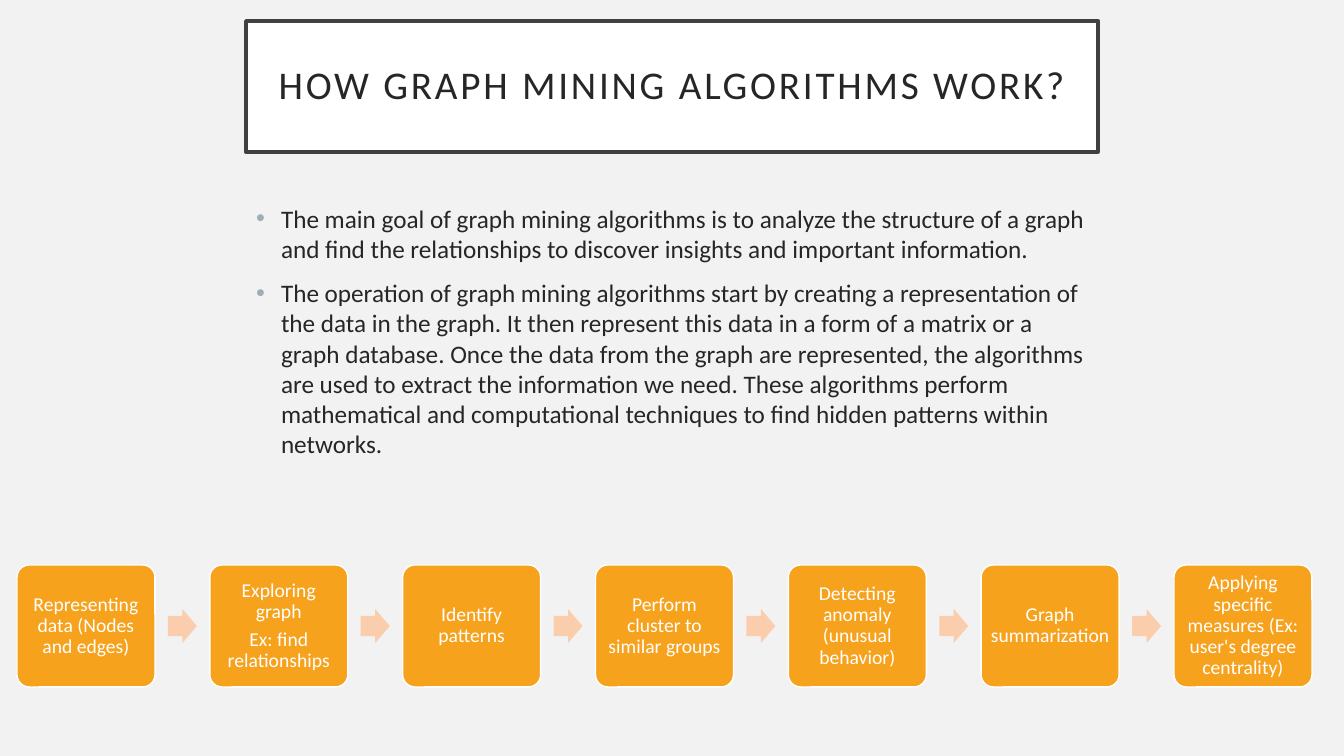
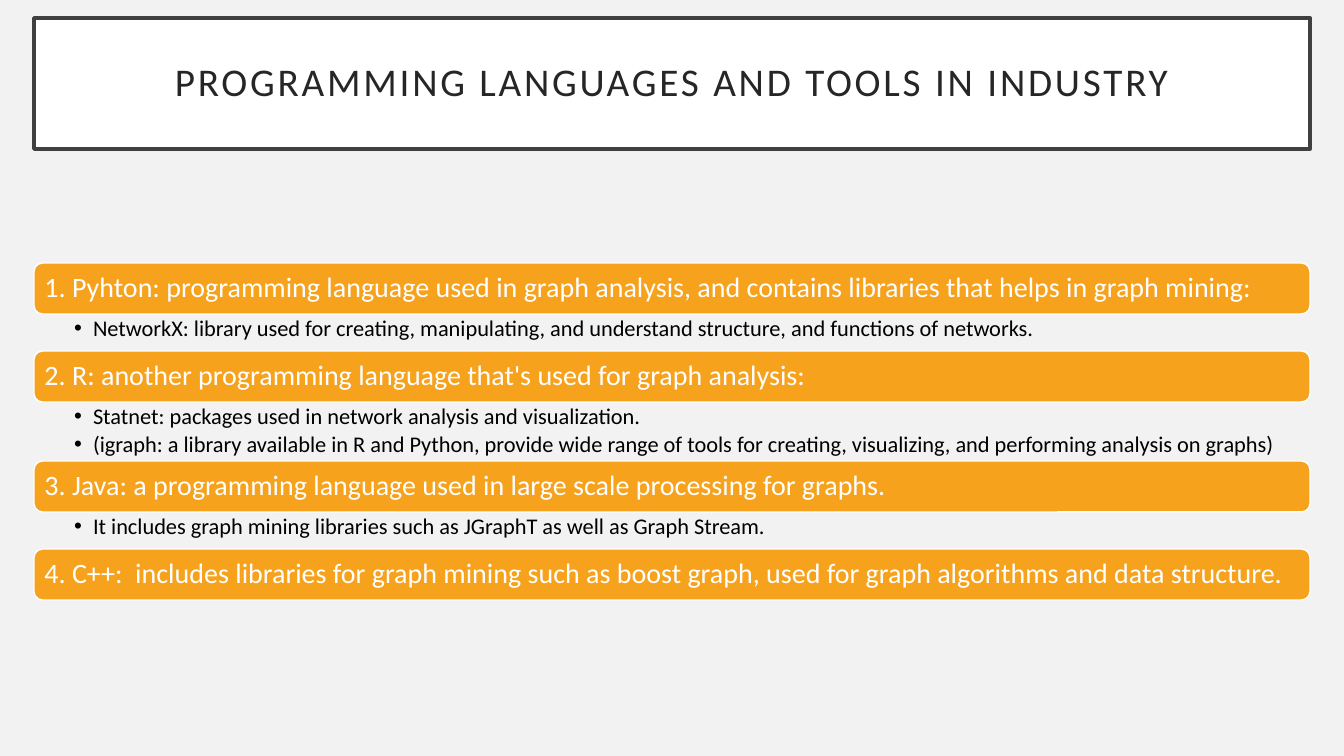
import lxml.etree
import pptx
import pptx.dml.color
import pptx.enum.shapes
import pptx.enum.text
import pptx.oxml.ns
import pptx.util

PX = 914400 / 100.8
W, H = 1344, 756
FONT = "Calibri"
COLORS = {
    "background": "F2F2F2",
    "white": "FFFFFF",
    "frame": "404040",
    "ink": "262626",
    "black": "000000",
    "bullet": "9BAFB5",
    "accent": "F6A21D",
    "arrow": "FACEAC",
}
SHAPE = pptx.enum.shapes.MSO_SHAPE
ALIGN = pptx.enum.text.PP_ALIGN
ANCHOR = pptx.enum.text.MSO_ANCHOR

GOALS = [
    "The main goal of graph mining algorithms is to analyze the structure of a graph "
    "and find the relationships to discover insights and important information.",
    "The operation of graph mining algorithms start by creating a representation of "
    "the data in the graph. It then represent this data in a form of a matrix or a "
    "graph database. Once the data from the graph are represented, the algorithms are "
    "used to extract the information we need. These algorithms perform mathematical "
    "and computational techniques to find hidden patterns within networks.",
]
STEPS = [
    ["Representing data (Nodes and edges)"],
    ["Exploring graph", "Ex: find relationships"],
    ["Identify patterns"],
    ["Perform cluster to similar groups"],
    ["Detecting anomaly (unusual behavior)"],
    ["Graph summarization"],
    ["Applying specific measures (Ex: user's degree centrality)"],
]
LANGUAGES = [
    ("1. Pyhton: programming language used in graph analysis, and contains libraries "
     "that helps in graph mining:",
     ["NetworkX: library used for creating, manipulating, and understand structure, "
      "and functions of networks."]),
    ("2. R: another programming language that's used for graph analysis:",
     ["Statnet: packages used in network analysis and visualization.",
      "(igraph: a library available in R and Python, provide wide range of tools for "
      "creating, visualizing, and performing analysis on graphs)"]),
    ("3. Java: a programming language used in large scale processing for graphs.",
     ["It includes graph mining libraries such as JGraphT as well as Graph Stream."]),
    ("4. C++:  includes libraries for graph mining such as boost graph, used for graph "
     "algorithms and data structure.", []),
]


def px(n):
    return pptx.util.Emu(round(n * PX))


def rgb(name):
    return pptx.dml.color.RGBColor.from_string(COLORS[name])


def add_bullet(p, indent, color):
    pPr = p._p.get_or_add_pPr()
    pPr.set("marL", str(px(indent)))
    pPr.set("indent", str(-px(indent)))
    qn = pptx.oxml.ns.qn
    buClr = lxml.etree.SubElement(pPr, qn("a:buClr"))
    lxml.etree.SubElement(buClr, qn("a:srgbClr")).set("val", COLORS[color])
    lxml.etree.SubElement(pPr, qn("a:buFont")).set("typeface", "Arial")
    lxml.etree.SubElement(pPr, qn("a:buChar")).set("char", "•")


def write_text(sp, paragraphs, size, color, align=ALIGN.LEFT, anchor=ANCHOR.TOP,
               insets=(10, 5, 10, 5), line=None, gap=0, indent=0, bullet=None,
               tracking=0):
    """Fill a shape; insets and indent are in px, size, gap and tracking in points."""
    tf = sp.text_frame
    tf.word_wrap = True
    tf.vertical_anchor = anchor
    tf.margin_left, tf.margin_top, tf.margin_right, tf.margin_bottom = map(px, insets)
    for i, text in enumerate(paragraphs):
        p = tf.add_paragraph() if i else tf.paragraphs[0]
        if bullet:
            add_bullet(p, indent, bullet)
        p.alignment = align
        if line:
            p.line_spacing = line
        if i:
            p.space_before = pptx.util.Pt(gap)
        r = p.add_run()
        r.text = text
        r.font.name = FONT
        r.font.size = pptx.util.Pt(size)
        r.font.color.rgb = rgb(color)
        if tracking:
            r._r.get_or_add_rPr().set("spc", str(tracking * 100))


def add_text(s, box, paragraphs, **fmt):
    write_text(s.shapes.add_textbox(*map(px, box)), paragraphs, **fmt)


def add_box(s, kind, box, fill, line=None, width=1, adjust=()):
    sp = s.shapes.add_shape(kind, *map(px, box))
    sp.shadow.inherit = False
    sp.fill.solid()
    sp.fill.fore_color.rgb = rgb(fill)
    if line:
        sp.line.color.rgb = rgb(line)
        sp.line.width = pptx.util.Pt(width)
    else:
        sp.line.fill.background()
    for i, value in enumerate(adjust):
        sp.adjustments[i] = value
    return sp


def add_title(s, box, text):
    sp = add_box(s, SHAPE.RECTANGLE, box, "white", "frame", 2.5)
    write_text(sp, [text], size=28, color="ink", align=ALIGN.CENTER,
               anchor=ANCHOR.MIDDLE, insets=(20, 20, 20, 20), line=0.9, tracking=2)


def add_process(s, box, steps):
    """Rounded steps across the box, with an arrow centred in each gap."""
    left, top, width, height = box
    step_w, arrow_w, arrow_h = 138, 29, 34
    gap = (width - step_w * len(steps)) / (len(steps) - 1)
    for i, step in enumerate(steps):
        x = left + i * (step_w + gap)
        if i:
            arrow = (x - (gap + arrow_w) / 2, top + (height - arrow_h) / 2,
                     arrow_w, arrow_h)
            add_box(s, SHAPE.RIGHT_ARROW, arrow, "arrow", adjust=(0.6, 0.5))
        sp = add_box(s, SHAPE.ROUNDED_RECTANGLE, (x, top, step_w, height),
                     "accent", "white", adjust=(0.1,))
        write_text(sp, step, size=14, color="white", align=ALIGN.CENTER,
                   anchor=ANCHOR.MIDDLE, insets=(5, 5, 5, 5), line=0.9, gap=5)


def add_bar_list(s, box, sections):
    """Full-width bars, each followed by its bulleted details."""
    left, y, width = box
    bar_h = 51
    for heading, details in sections:
        sp = add_box(s, SHAPE.ROUNDED_RECTANGLE, (left, y, width, bar_h),
                     "accent", "white")
        write_text(sp, [heading], size=20, color="white", anchor=ANCHOR.MIDDLE,
                   insets=(8, 8, 8, 8), line=0.9)
        y += bar_h
        if details:
            detail_h = 15 + 22 * len(details)
            add_text(s, (left, y, width, detail_h), details, size=16, color="black",
                     insets=(40, 3, 16, 3), line=0.9, gap=3, indent=19, bullet="black")
            y += detail_h


def build_algorithms(s):
    add_title(s, (246, 21, 852, 131), "HOW GRAPH MINING ALGORITHMS WORK?")
    add_text(s, (246, 198, 852, 342), GOALS, size=18, color="ink", gap=10,
             indent=25, bullet="bullet")
    add_process(s, (17, 565, 1295, 122), STEPS)


def build_languages(s):
    add_title(s, (34, 18, 1276, 131), "PROGRAMMING LANGUAGES AND TOOLS IN INDUSTRY")
    add_bar_list(s, (34, 263, 1276), LANGUAGES)


def main():
    prs = pptx.Presentation()
    prs.slide_width, prs.slide_height = px(W), px(H)
    fill = prs.slide_master.background.fill
    fill.solid()
    fill.fore_color.rgb = rgb("background")
    for build in (build_algorithms, build_languages):
        build(prs.slides.add_slide(prs.slide_layouts[6]))
    prs.save("out.pptx")


if __name__ == "__main__":
    main()
